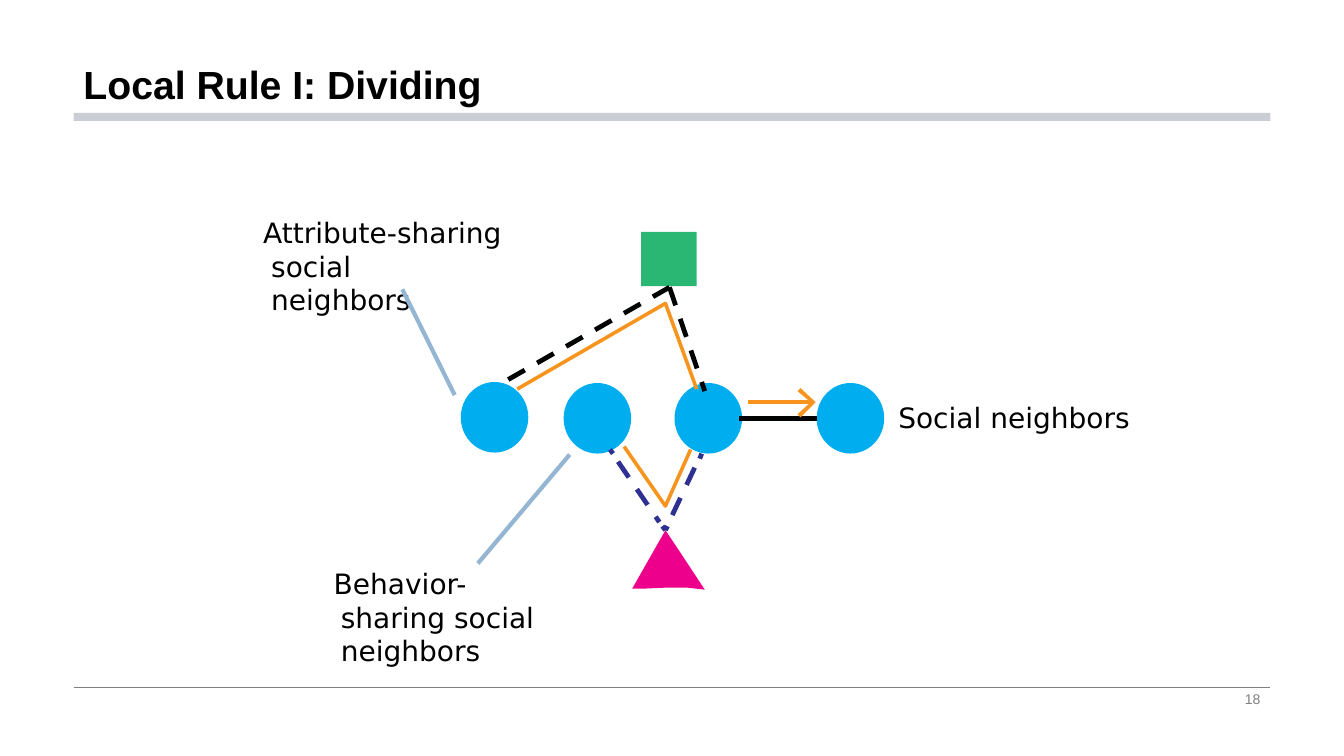
from lxml.etree import SubElement
from pptx import Presentation
from pptx.dml.color import RGBColor
from pptx.enum.dml import MSO_LINE_DASH_STYLE as DASH
from pptx.enum.shapes import MSO_CONNECTOR as CONN, MSO_SHAPE as SHAPE
from pptx.enum.text import MSO_ANCHOR as ANCHOR, PP_ALIGN as ALIGN
from pptx.oxml.ns import qn
from pptx.util import Inches, Pt

BLACK = RGBColor(0x00, 0x00, 0x00)
GRAY = RGBColor(0x80, 0x80, 0x80)
BAR = RGBColor(0xC9, 0xCE, 0xD5)
CYAN = RGBColor(0x00, 0xAE, 0xEF)
GREEN = RGBColor(0x2A, 0xB6, 0x73)
PINK = RGBColor(0xEC, 0x00, 0x8C)
ORANGE = RGBColor(0xF7, 0x94, 0x1D)
INK = RGBColor(0x01, 0x02, 0x02)
NAVY = RGBColor(0x2E, 0x30, 0x92)
POINTER = RGBColor(0x94, 0xB6, 0xD2)

NODE_W, NODE_H = 0.67, 0.7
NODES = [(4.57, 3.79), (5.59, 3.8), (6.69, 3.8), (8.1, 3.8)]
TRIANGLE = [(6.6, 5.26), (6.27, 5.84), (6.38, 5.84), (6.6, 5.83),
            (6.82, 5.83), (6.99, 5.85), (6.74, 5.47)]
ARROWHEAD = [(7.94, 3.85), (7.91, 3.88), (8.04, 3.99),
             (7.91, 4.11), (7.94, 4.14), (8.09, 3.99)]


def add_text(slide, box, text, size, color, font="DejaVu Sans", bold=False,
             align=ALIGN.LEFT, anchor=ANCHOR.TOP, inset=(0, 0), spacing=None):
    """Add a text box; inset is (sides, top and bottom) in inches."""
    tf = slide.shapes.add_textbox(*map(Inches, box)).text_frame
    tf.word_wrap = True
    tf.vertical_anchor = anchor
    tf.margin_left = tf.margin_right = Inches(inset[0])
    tf.margin_top = tf.margin_bottom = Inches(inset[1])
    p = tf.paragraphs[0]
    p.text = text
    p.alignment = align
    p.line_spacing = spacing
    for r in p.runs:
        r.font.name = font
        r.font.size = Pt(size)
        r.font.bold = bold
        r.font.color.rgb = color
    return p


def add_label(slide, box, text, margin=0, indent=0):
    p = add_text(slide, box, text, 20, BLACK, inset=(0, 0.02))
    pPr = p._p.get_or_add_pPr()
    pPr.set("marL", str(Inches(margin)))
    pPr.set("indent", str(Inches(indent)))


def add_filled(slide, kind, box, color):
    sp = slide.shapes.add_shape(kind, *map(Inches, box))
    paint(sp, color)


def paint(sp, color):
    sp.shadow.inherit = False
    sp.fill.solid()
    sp.fill.fore_color.rgb = color
    sp.line.fill.background()


def add_outline(slide, points, close):
    (x, y), *rest = [(Inches(x), Inches(y)) for x, y in points]
    builder = slide.shapes.build_freeform(x, y)
    builder.add_line_segments(rest, close=close)
    return builder.convert_to_shape()


def add_polygon(slide, points, color):
    paint(add_outline(slide, points, True), color)


def add_polyline(slide, points, color, width):
    sp = add_outline(slide, points, False)
    sp.shadow.inherit = False
    sp.fill.background()
    sp.line.color.rgb = color
    sp.line.width = Pt(width)


def add_line(slide, start, end, color, width, dash=None):
    cxn = slide.shapes.add_connector(CONN.STRAIGHT,
                                     *map(Inches, (*start, *end)))
    cxn.line.color.rgb = color
    cxn.line.width = Pt(width)
    if dash:
        cxn.line.dash_style = dash
    SubElement(cxn._element.spPr, qn("a:effectLst"))


def add_frame(slide):
    add_line(slide, (0.73, 6.82), (12.6, 6.82), GRAY, 0.5)
    add_filled(slide, SHAPE.RECTANGLE, (0.73, 1.12, 11.87, 0.08), BAR)
    add_text(slide, (0.73, 0, 11.87, 1.12), "Local Rule I: Dividing", 28,
             BLACK, "Arial", True, anchor=ANCHOR.BOTTOM, inset=(0.1, 0.05),
             spacing=0.9)
    add_text(slide, (9.42, 6.82, 3.18, 0.23), "18", 10, GRAY, "Arial",
             align=ALIGN.RIGHT, anchor=ANCHOR.MIDDLE, inset=(0.1, 0.05))


def add_network(slide):
    for x, y in NODES:
        add_filled(slide, SHAPE.OVAL, (x, y, NODE_W, NODE_H), CYAN)
    add_filled(slide, SHAPE.RECTANGLE, (6.36, 2.3, 0.55, 0.54), GREEN)
    add_polygon(slide, TRIANGLE, PINK)

    for end in [(6.99, 3.88), (4.98, 3.8)]:
        add_line(slide, (6.64, 2.85), end, INK, 3.4, DASH.DASH)
    add_line(slide, (7.33, 4.15), (8.1, 4.15), INK, 3.4)

    # Each behavior link is a dashed line with a short solid stub at both ends
    for a, b, c, d in [
        [(6.05, 4.46), (6.08, 4.5), (6.57, 5.22), (6.6, 5.26)],
        [(6.96, 4.5), (6.94, 4.55), (6.62, 5.22), (6.6, 5.26)],
    ]:
        add_line(slide, a, b, NAVY, 3.4)
        add_line(slide, c, d, NAVY, 3.4)
    add_line(slide, (6.13, 4.58), (6.54, 5.18), NAVY, 3.4, DASH.DASH)
    add_line(slide, (6.89, 4.64), (6.64, 5.17), NAVY, 3.4, DASH.DASH)


def add_paths(slide):
    add_line(slide, (7.42, 3.99), (8.05, 3.99), ORANGE, 2.55)
    add_polygon(slide, ARROWHEAD, ORANGE)
    for points in [[(6.91, 3.86), (6.6, 3.01), (5.13, 3.86)],
                   [(6.85, 4.46), (6.6, 5.02), (6.19, 4.43)]]:
        add_polyline(slide, points, ORANGE, 2.55)


def add_labels(slide):
    add_label(slide, (8.9, 3.95, 2.5, 0.36), "Social neighbors", 0.01)
    add_label(slide, (3.3, 5.6, 2.42, 0.69),
              "Behavior-\vsharing social\vneighbors", 0.08, -0.07)
    add_label(slide, (2.59, 2.12, 2.6, 0.69),
              "Attribute-sharing\vsocial\vneighbors", 0.1, -0.08)
    add_line(slide, (5.65, 4.51), (4.74, 5.59), POINTER, 3)
    add_line(slide, (3.99, 2.87), (4.51, 3.92), POINTER, 3)


def main():
    prs = Presentation()
    prs.slide_width, prs.slide_height = Inches(13.33), Inches(7.5)
    slide = prs.slides.add_slide(prs.slide_layouts[6])
    add_frame(slide)
    add_network(slide)
    add_paths(slide)
    add_labels(slide)
    prs.save("out.pptx")


if __name__ == "__main__":
    main()
